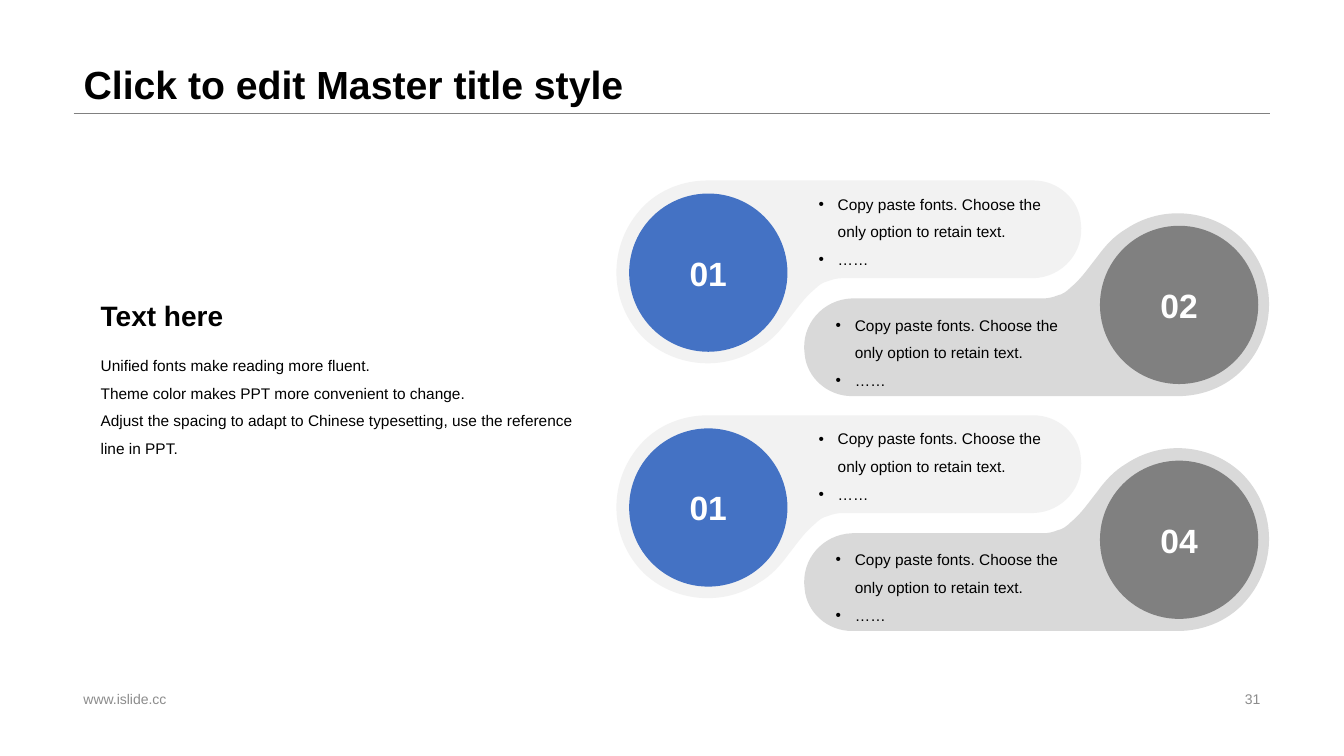
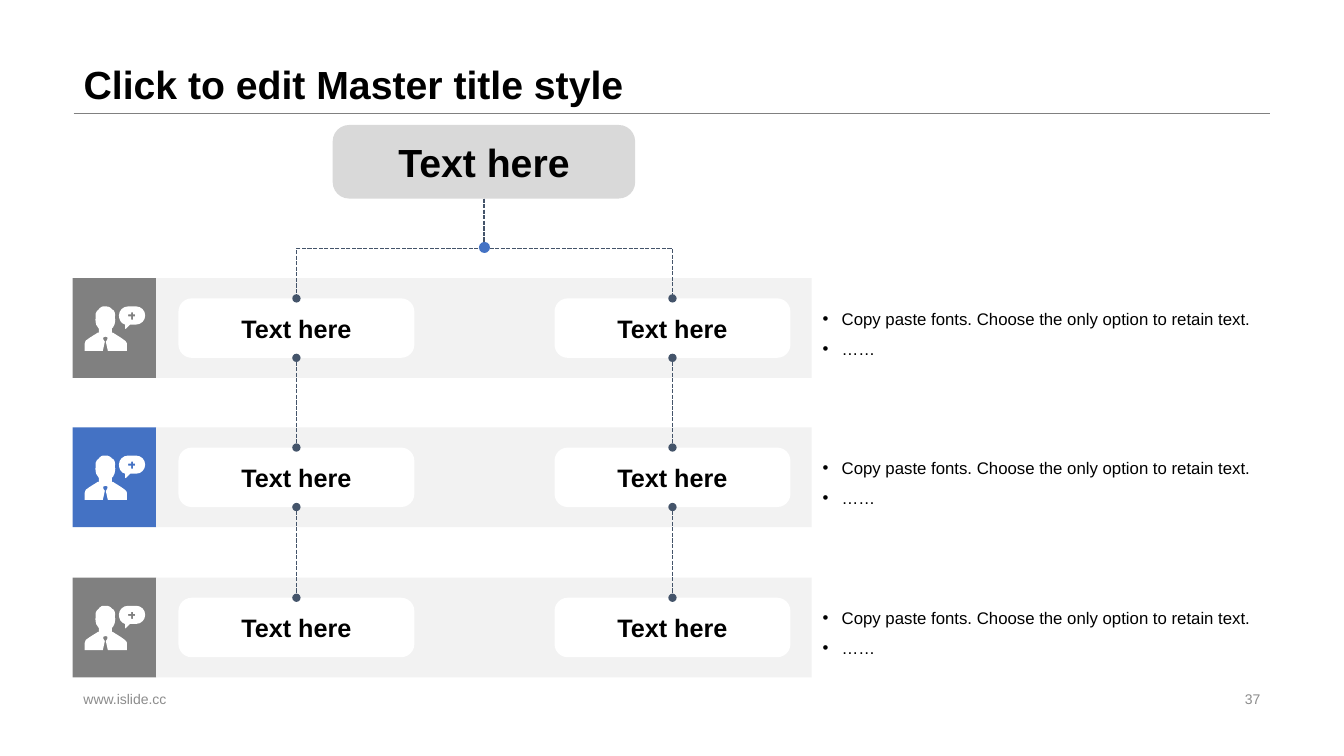
from lxml import etree
from pptx import Presentation
from pptx.dml.color import RGBColor
from pptx.enum.dml import MSO_LINE
from pptx.enum.shapes import MSO_CONNECTOR, MSO_SHAPE
from pptx.enum.text import MSO_ANCHOR, MSO_AUTO_SIZE, PP_ALIGN
from pptx.oxml.ns import qn
from pptx.util import Inches, Pt

BLACK = RGBColor(0x00, 0x00, 0x00)
WHITE = RGBColor(0xFF, 0xFF, 0xFF)
BLUE = RGBColor(0x44, 0x72, 0xC4)
SLATE = RGBColor(0x44, 0x54, 0x6A)
GRAY = RGBColor(0x80, 0x80, 0x80)
FOOTER_GRAY = RGBColor(0x8C, 0x8C, 0x8C)
SILVER = RGBColor(0xD9, 0xD9, 0xD9)
PALE = RGBColor(0xF2, 0xF2, 0xF2)

LEFT, CENTER, RIGHT = PP_ALIGN.LEFT, PP_ALIGN.CENTER, PP_ALIGN.RIGHT
TOP, MIDDLE, BOTTOM = MSO_ANCHOR.TOP, MSO_ANCHOR.MIDDLE, MSO_ANCHOR.BOTTOM
OVAL, RECTANGLE, ROUNDED = MSO_SHAPE.OVAL, MSO_SHAPE.RECTANGLE, MSO_SHAPE.ROUNDED_RECTANGLE
STRAIGHT, ELBOW = MSO_CONNECTOR.STRAIGHT, MSO_CONNECTOR.ELBOW
DASH = MSO_LINE.SQUARE_DOT
NO_AUTOFIT = MSO_AUTO_SIZE.NONE

FONT = "Arial"
ADVICE = "Copy paste fonts. Choose the only option to retain text.\n……"
CORNER = 0.223

BUBBLE_SIZE = (461, 181)
BUBBLE = [[
    (91, 0), (67, 0, 43, 9, 26, 27), (-9, 64, -8, 122, 28, 157),
    (43, 171, 62, 179, 82, 181), (103, 183, 124, 178, 142, 166),
    (154, 159, 163, 149, 171, 138), (179, 128, 187, 116, 197, 108),
    (201, 104, 205, 101, 210, 100), (215, 98, 220, 97, 224, 97),
    (414, 97), (443, 96, 465, 71, 461, 42), (459, 18, 438, 0, 414, 0),
    (114, 0), (91, 0),
]]
ADVISER_SIZE = (60, 44)
ADVISER = [
    [(46, 6), (46, 8), (43, 8), (43, 10), (46, 10), (46, 13),
     (48, 13), (48, 10), (50, 10), (50, 8), (48, 8), (48, 6)],
    [(43, 0), (51, 0), (56, 0, 60, 4, 60, 9), (60, 14, 56, 18, 51, 18),
     (45, 18), (41, 22), (40, 23, 40, 22, 40, 22), (40, 18),
     (36, 17, 34, 13, 34, 9), (34, 4, 38, 0, 43, 0)],
    [(20, 0), (22, 0, 24, 0, 25, 1), (27, 2, 27, 3, 27, 3),
     (27, 3, 31, 3, 30, 11), (30, 12, 30, 12, 30, 12),
     (30, 12, 31, 13, 30, 16), (30, 18, 29, 19, 29, 19),
     (29, 20, 28, 21, 27, 22), (27, 26), (27, 26, 28, 26, 28, 26),
     (29, 27, 35, 30, 40, 34), (41, 35, 42, 36, 42, 37), (42, 44),
     (23, 44), (21, 35), (25, 30, 21, 30, 21, 30),
     (20, 30, 16, 30, 20, 35), (18, 44), (0, 44), (0, 37),
     (0, 36, 0, 35, 1, 34), (6, 30, 12, 27, 13, 26),
     (13, 26, 14, 26, 14, 26), (14, 22),
     (13, 21, 13, 20, 12, 19), (12, 19, 11, 18, 11, 16),
     (10, 13, 11, 12, 11, 12), (11, 12, 11, 12, 11, 11),
     (11, 10, 11, 9, 11, 7), (12, 5, 12, 4, 14, 3),
     (14, 2, 15, 2, 16, 1), (16, 1, 17, 0, 18, 0), (19, 0, 19, 0, 20, 0)],
]


def write(shape, text, fill=None, size=11, color=BLACK, bold=False, align=LEFT,
          anchor=TOP, spacing=1.0, bullets=False):
    if fill is not None:
        shape.shadow.inherit = False
        shape.fill.solid()
        shape.fill.fore_color.rgb = fill
        shape.line.fill.background()
    if not text:
        return
    frame = shape.text_frame
    frame.word_wrap = True
    frame.auto_size = NO_AUTOFIT
    frame.vertical_anchor = anchor
    for index, line in enumerate(text.split("\n")):
        paragraph = frame.paragraphs[0] if index == 0 else frame.add_paragraph()
        if bullets:
            properties = paragraph._p.get_or_add_pPr()
            properties.set("marL", str(Inches(0.19)))
            properties.set("indent", str(-Inches(0.19)))
            etree.SubElement(properties, qn("a:buFont"), typeface=FONT)
            etree.SubElement(properties, qn("a:buChar"), char="•")
        paragraph.alignment = align
        paragraph.line_spacing = spacing
        run = paragraph.add_run()
        run.text = line
        run.font.name = FONT
        run.font.size = Pt(size)
        run.font.bold = bold
        run.font.color.rgb = color


def trace(slide, contours, size, left, top, fill, rotation=0):
    width, height = size
    builder = slide.shapes.build_freeform(0, 0, scale=Inches(0.01))
    builder.add_line_segments([(width, 0), (width, height)])
    outline = builder.convert_to_shape(Inches(left), Inches(top))
    curve = next(outline._element.iter(qn("a:path")))
    curve.set("w", str(width))
    curve.set("h", str(height))
    for command in list(curve):
        curve.remove(command)
    for contour in contours:
        for index, step in enumerate(contour):
            tag = "a:moveTo" if index == 0 else "a:lnTo" if len(step) == 2 else "a:cubicBezTo"
            command = etree.SubElement(curve, qn(tag))
            for x, y in zip(step[::2], step[1::2]):
                etree.SubElement(command, qn("a:pt"), x=str(x), y=str(y))
        etree.SubElement(curve, qn("a:close"))
    outline.rotation = rotation
    write(outline, "", fill=fill)


presentation = Presentation()
presentation.slide_width = Inches(13.33)
presentation.slide_height = Inches(7.5)

pages = []
for number in ("31", "37"):
    slide = presentation.slides.add_slide(presentation.slide_layouts[5])
    pages.append(slide)
    rule = slide.shapes.add_connector(STRAIGHT, Inches(0.73), Inches(1.12), Inches(12.6), Inches(1.12))
    rule.line.color.rgb = GRAY
    rule.line.width = Pt(0.25)
    etree.SubElement(rule._element.spPr, qn("a:effectLst"))
    title = slide.shapes.title
    title.left, title.top, title.width, title.height = Inches(0.73), Inches(0), Inches(11.87), Inches(1.12)
    write(title, "Click to edit Master title style", size=28, bold=True, anchor=BOTTOM, spacing=0.9)
    for text, left, width, align in (("www.islide.cc", 0.73, 4.53, LEFT), (number, 9.42, 3.18, RIGHT)):
        footer = slide.shapes.add_textbox(Inches(left), Inches(6.82), Inches(width), Inches(0.23))
        write(footer, text, size=10, color=FOOTER_GRAY, align=align, anchor=MIDDLE)

bubbles_page, tree_page = pages

intro = bubbles_page.shapes.add_textbox(Inches(0.9), Inches(3.39), Inches(5.03), Inches(1.27))
write(intro, "Unified fonts make reading more fluent.\n"
             "Theme color makes PPT more convenient to change.\n"
             "Adjust the spacing to adapt to Chinese typesetting, use the reference line in PPT.",
      spacing=1.5)
heading = bubbles_page.shapes.add_textbox(Inches(0.9), Inches(2.91), Inches(5.03), Inches(0.48))
write(heading, "Text here", size=20, bold=True)

for pair, labels in enumerate((("01", "02"), ("01", "04"))):
    drop = 2.33 * pair
    trace(bubbles_page, BUBBLE, BUBBLE_SIZE, 6.11, 1.79 + drop, PALE)
    trace(bubbles_page, BUBBLE, BUBBLE_SIZE, 7.98, 2.12 + drop, SILVER, rotation=180)
    for label, fill, circle_left, circle_top, advice_left, advice_top in (
            (labels[0], BLUE, 6.24, 1.92, 8.02, 1.79),
            (labels[1], GRAY, 10.91, 2.24, 8.19, 2.99)):
        advice = bubbles_page.shapes.add_textbox(
            Inches(advice_left), Inches(advice_top + drop), Inches(2.5), Inches(0.95))
        write(advice, ADVICE, spacing=1.5, bullets=True)
        circle = bubbles_page.shapes.add_shape(
            OVAL, Inches(circle_left), Inches(circle_top + drop), Inches(1.57), Inches(1.57))
        write(circle, label, fill=fill, size=24, color=WHITE, bold=True, align=CENTER, anchor=MIDDLE)

root = tree_page.shapes.add_shape(ROUNDED, Inches(3.3), Inches(1.24), Inches(3), Inches(0.73))
root.adjustments[0] = CORNER
write(root, "Text here", fill=SILVER, size=28, bold=True, align=CENTER, anchor=MIDDLE)

branches = ([], [])
for top, accent in ((2.76, GRAY), (4.24, BLUE), (5.73, GRAY)):
    for left, width, fill in ((0.72, 0.83, accent), (1.55, 6.5, PALE)):
        band = tree_page.shapes.add_shape(RECTANGLE, Inches(left), Inches(top), Inches(width), Inches(0.99))
        write(band, "", fill=fill)
    trace(tree_page, ADVISER, ADVISER_SIZE, 0.84, top + 0.28, WHITE)
    for column, branch in enumerate(branches):
        node = tree_page.shapes.add_shape(
            ROUNDED, Inches(1.77 + 3.73 * column), Inches(top + 0.2), Inches(2.34), Inches(0.59))
        node.adjustments[0] = CORNER
        write(node, "Text here", fill=WHITE, size=18, bold=True, align=CENTER, anchor=MIDDLE)
        branch.append(node)
    advice = tree_page.shapes.add_textbox(Inches(8.06), Inches(top), Inches(4.54), Inches(1))
    write(advice, ADVICE, size=12, anchor=MIDDLE, spacing=1.5, bullets=True)

for branch, rotation, flip in zip(branches, (90, 270), ("0", "1")):
    for upper, lower in zip([root] + branch, branch):
        from_root = upper is root
        link = tree_page.shapes.add_connector(ELBOW if from_root else STRAIGHT, 0, 0, 0, 0)
        link.begin_connect(upper, 2)
        link.end_connect(lower, 0)
        if from_root:
            span, fall = link.width, link.height
            link.left += (span - fall) // 2
            link.top += (fall - span) // 2
            link.width, link.height = fall, span
            frame = link._element.spPr.find(qn("a:xfrm"))
            frame.set("rot", str(rotation * 60000))
            frame.set("flipH", flip)
            frame.set("flipV", "0")
        link.line.color.rgb = SLATE
        link.line.width = Pt(1)
        link.line.dash_style = DASH
        stroke = link.line._get_or_add_ln()
        if not from_root:
            etree.SubElement(stroke, qn("a:headEnd"), type="oval")
        etree.SubElement(stroke, qn("a:tailEnd"), type="oval")
        etree.SubElement(link._element.spPr, qn("a:effectLst"))

junction = tree_page.shapes.add_shape(OVAL, Inches(4.75), Inches(2.4), Inches(0.11), Inches(0.11))
write(junction, "", fill=BLUE)

presentation.save("out.pptx")
